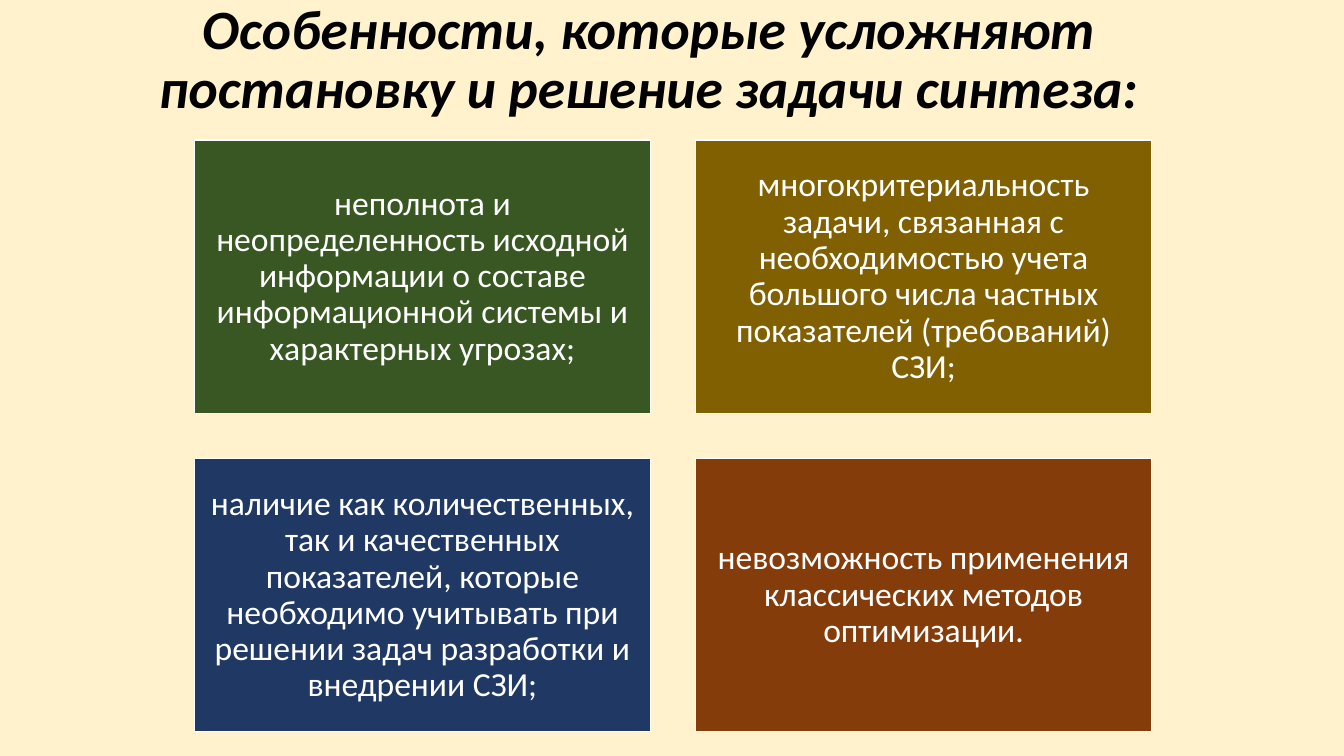
from pptx import Presentation
from pptx.dml.color import RGBColor
from pptx.enum.shapes import MSO_SHAPE as SHAPE
from pptx.enum.text import MSO_ANCHOR as ANCHOR, PP_ALIGN as ALIGN
from pptx.util import Inches, Pt


def rgb(value):
    return RGBColor.from_string(value)


class Deck:
    font = "Calibri"
    white = "FFFFFF"

    def __init__(self, prs, background):
        self.s = prs.slides.add_slide(prs.slide_layouts[6])
        fill = self.s.background.fill
        fill.solid()
        fill.fore_color.rgb = rgb(background)

    def set_text(self, sp, text, size, color, margin, emphasis=False):
        tf = sp.text_frame
        tf.text = text
        tf.word_wrap = True
        tf.vertical_anchor = ANCHOR.MIDDLE
        tf.margin_left = tf.margin_right = Inches(0.1)
        tf.margin_top = tf.margin_bottom = Inches(margin)
        p = tf.paragraphs[0]
        p.alignment = ALIGN.CENTER
        p.line_spacing = 0.9
        r = p.runs[0]
        r.font.name = self.font
        r.font.size = Pt(size)
        r.font.bold = r.font.italic = emphasis
        r.font.color.rgb = rgb(color)

    def title(self, text, x, y, w, h):
        sp = self.s.shapes.add_textbox(Inches(x), Inches(y), Inches(w), Inches(h))
        self.set_text(sp, text, 39.6, "000000", 0.05, emphasis=True)

    def card(self, text, color, x, y, w, h):
        sp = self.s.shapes.add_shape(
            SHAPE.RECTANGLE, Inches(x), Inches(y), Inches(w), Inches(h))
        sp.shadow.inherit = False
        sp.fill.solid()
        sp.fill.fore_color.rgb = rgb(color)
        sp.line.color.rgb = rgb(self.white)
        sp.line.width = Pt(1)
        self.set_text(sp, text, 24, self.white, 0.1)


CARDS = [
    ("неполнота и неопределенность исходной информации о составе "
     "информационной системы и характерных угрозах;", "385723"),
    ("многокритериальность задачи, связанная с необходимостью учета "
     "большого числа частных показателей (требований) СЗИ;", "806000"),
    ("наличие как количественных, так и качественных показателей, которые "
     "необходимо учитывать при решении задач разработки и внедрении СЗИ;", "203864"),
    ("невозможность применения классических методов оптимизации.", "843C0B"),
]
LEFT, TOP = 1.93, 1.39
WIDTH, HEIGHT, GAP = 4.52, 2.71, 0.45


def main():
    prs = Presentation()
    prs.slide_width = Inches(13.33)
    prs.slide_height = Inches(7.5)
    deck = Deck(prs, "FFF2CC")
    deck.title("Особенности, которые усложняют постановку и решение задачи синтеза:",
               0.45, 0.18, 11.97, 0.85)
    for i, (text, color) in enumerate(CARDS):
        row, col = divmod(i, 2)
        deck.card(text, color, LEFT + col * (WIDTH + GAP),
                  TOP + row * (HEIGHT + GAP), WIDTH, HEIGHT)
    prs.save("out.pptx")


if __name__ == "__main__":
    main()
